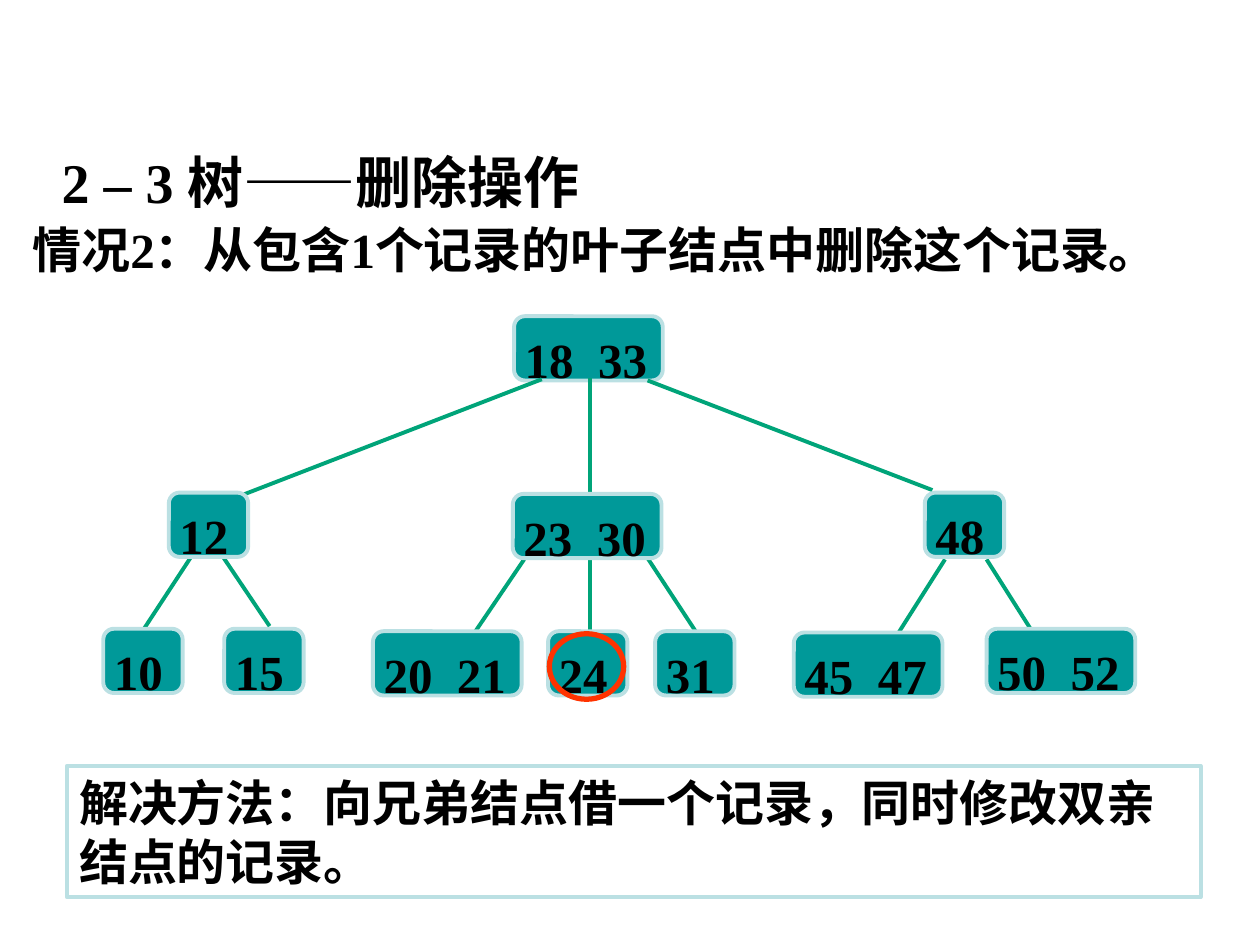
from lxml import etree
from pptx import Presentation
from pptx.dml.color import RGBColor
from pptx.enum import shapes, text
from pptx.oxml.ns import qn
from pptx.util import Inches, Pt

BLACK = RGBColor(0x00, 0x00, 0x00)
TEAL = RGBColor(0x00, 0x99, 0x99)
PALE = RGBColor(0xBB, 0xE0, 0xE3)
GREEN = RGBColor(0x00, 0xA4, 0x79)
RED = RGBColor(0xFF, 0x33, 0x00)
FONT = "Times New Roman"
NODE_HEIGHT = 0.51
NODE_WIDTHS = {1: 0.63, 2: 1.18}

NODES = [
    ("18  33", 3.26, 0),
    ("12", 0.52, 1.4), ("23  30", 3.25, 1.41), ("48", 6.52, 1.4),
    ("10", 0, 2.48), ("15", 0.96, 2.48),
    ("20  21", 2.14, 2.5), ("24", 3.53, 2.5), ("31", 4.38, 2.5),
    ("45  47", 5.48, 2.51), ("50  52", 7.01, 2.48),
]
EDGES = [
    (3.48, 0.5, 1.1, 1.42), (3.86, 0.49, 3.86, 1.4), (4.32, 0.51, 6.58, 1.38),
    (0.69, 1.92, 0.31, 2.5), (0.95, 1.91, 1.32, 2.46),
    (3.34, 1.93, 2.94, 2.52), (3.86, 1.93, 3.86, 2.53), (4.32, 1.92, 4.74, 2.56),
    (6.68, 1.93, 6.3, 2.53), (7.01, 1.93, 7.39, 2.53),
]


def write(frame, words, size, margins, anchor=text.MSO_ANCHOR.MIDDLE):
    """Set one bold black paragraph in a text frame."""
    frame.text = words
    frame.vertical_anchor = anchor
    frame.margin_left, frame.margin_top, frame.margin_right, frame.margin_bottom = map(Inches, margins)
    paragraph = frame.paragraphs[0]
    paragraph.alignment = text.PP_ALIGN.LEFT
    font = paragraph.runs[0].font
    font.name, font.size, font.bold = FONT, Pt(size), True
    font.color.rgb = BLACK


def add_outline(slide, kind, box, color, weight):
    """Add an unfilled preset shape with a coloured outline."""
    outline = slide.shapes.add_shape(kind, *map(Inches, box))
    outline.shadow.inherit = False
    outline.fill.background()
    outline.line.color.rgb = color
    outline.line.width = Pt(weight)
    return outline


def add_heading(slide, words, size, box, wrap, anchor):
    """Add a heading line in the given box."""
    heading = slide.shapes.add_textbox(*map(Inches, box))
    write(heading.text_frame, words, size, (0.1, 0.05, 0.1, 0.05), anchor)
    heading.text_frame.word_wrap = wrap


def add_node(slide, records, left, top):
    """Add a tree node sized by its number of records."""
    box = (left, top, NODE_WIDTHS[len(records.split())], NODE_HEIGHT)
    node = add_outline(slide, shapes.MSO_SHAPE.ROUNDED_RECTANGLE, box, PALE, 2.25)
    node.fill.solid()
    node.fill.fore_color.rgb = TEAL
    write(node.text_frame, records, 28, (0.06, 0.08, 0.02, 0.01), text.MSO_ANCHOR.TOP)


def add_edge(slide, x1, y1, x2, y2):
    """Add a branch between a parent and a child."""
    edge = slide.shapes.add_connector(shapes.MSO_CONNECTOR.STRAIGHT, *map(Inches, (x1, y1, x2, y2)))
    edge.line.color.rgb = GREEN
    edge.line.width = Pt(2.25)
    etree.SubElement(edge._element.spPr, qn("a:effectLst"))


def add_tree(slide, left, top):
    """Draw the 2-3 tree with the record to delete circled."""
    root, *descendants = NODES
    add_node(slide, root[0], left + root[1], top + root[2])
    for x1, y1, x2, y2 in EDGES:
        add_edge(slide, left + x1, top + y1, left + x2, top + y2)
    for records, dx, dy in descendants:
        add_node(slide, records, left + dx, top + dy)
    add_outline(slide, shapes.MSO_SHAPE.OVAL, (left + 3.54, top + 2.52, 0.59, 0.52), RED, 3)


def add_solution(slide, box):
    """Add the framed solution."""
    solution = add_outline(slide, shapes.MSO_SHAPE.RECTANGLE, box, PALE, 2.25)
    write(solution.text_frame, "解决方法：向兄弟结点借一个记录，同时修改双亲结点的记录。", 28, (0.1, 0.05, 0.1, 0.05))
    solution.text_frame.word_wrap = True


def main():
    """Build and save the slide."""
    deck = Presentation()
    deck.slide_width, deck.slide_height = Inches(10), Inches(7.5)
    slide = deck.slides.add_slide(deck.slide_layouts[6])
    add_tree(slide, 0.82, 2.51)
    add_heading(slide, "2 – 3 树——删除操作", 32, (0.39, 1.12, 4.57, 0.64), True, text.MSO_ANCHOR.TOP)
    add_heading(slide, "情况2：从包含1个记录的叶子结点中删除这个记录。", 28, (0.16, 1.69, 9.59, 0.57),
                False, text.MSO_ANCHOR.MIDDLE)
    add_solution(slide, (0.53, 6.08, 9, 1.04))
    deck.save("out.pptx")


if __name__ == "__main__":
    main()
